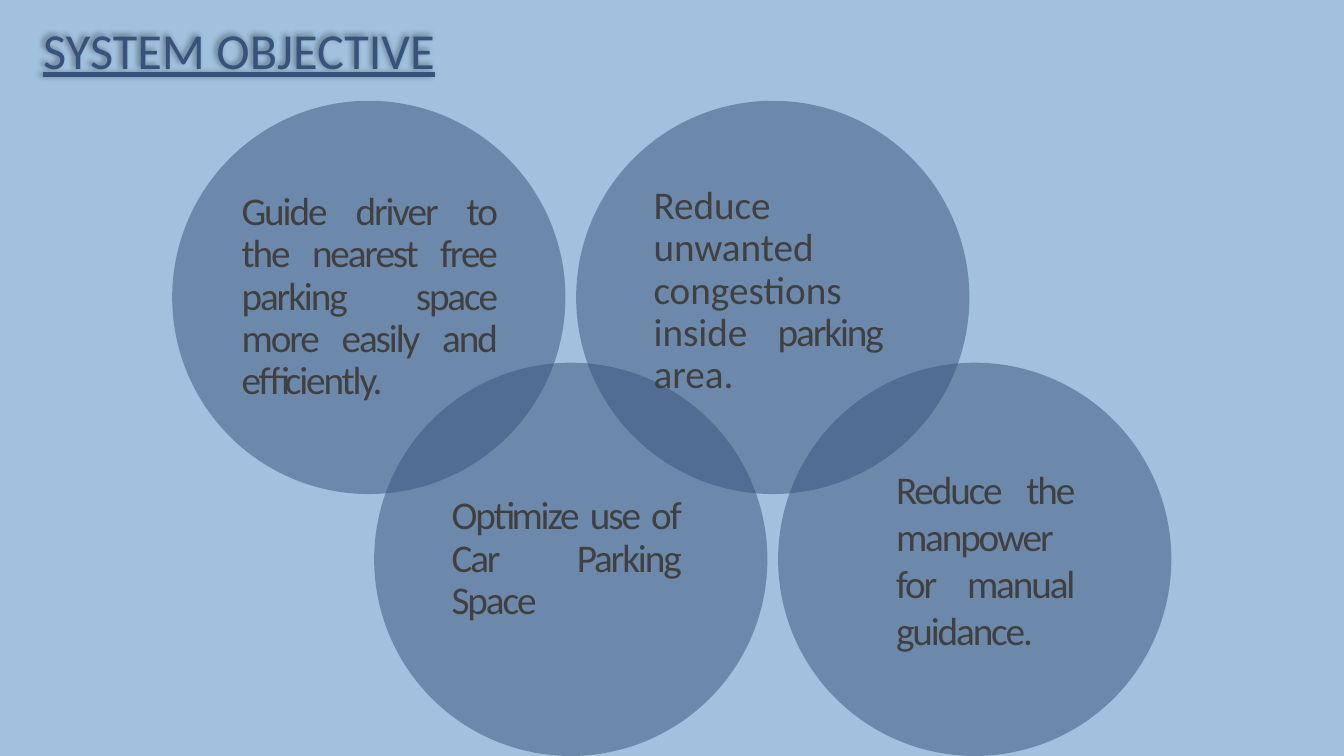
import pptx
import pptx.util
import pptx.dml.color
import pptx.enum.shapes
import pptx.enum.text
import pptx.oxml
import pptx.oxml.ns
from lxml import etree
from pptx.util import Cm

TITLE = "SYSTEM OBJECTIVE"
TIGHT, NORMAL = -150, 0  # letter spacing in hundredths of a point

# Each circle: spans of (text, letter spacing), insets (left, top, right, bottom) in cm, line spacing
OBJECTIVES = [
    ([("Guide driver to the nearest free parking space more easily and efficiently.", TIGHT)],
     (0.3, 0.3, 0.3, 0.3), 0.9),
    ([("Optimize use of Car Parking Space", TIGHT)],
     (0.5, 0.3, 0.76, 0.3), 0.9),
    ([("Reduce unwanted congestions inside ", NORMAL), ("parking ", TIGHT), ("area.", NORMAL)],
     (0.5, 0, 0.76, 0.3), 0.9),
    ([("Reduce the manpower for manual guidance.", TIGHT)],
     (1.52, 0.3, 1.02, 0.3), 1.0),
]

THEME = {
    "background": "A1C1DE", "accent": "39527B", "text": "404040",
    "font": "Calibri", "title_size": 36, "body_size": 28, "circle_alpha": 50000,
}

# Circles step evenly to the right, alternating between two rows
DIAMETER, FIRST_LEFT, STEP = 9.91, 4.34, 5.09
ROW_TOPS = (2.54, 9.14)


def color(name):
    return pptx.dml.color.RGBColor.from_string(THEME[name])


def style_font(para, size, color_name):
    para.font.name = THEME["font"]
    para.font.size = pptx.util.Pt(THEME[size])
    para.font.color.rgb = color(color_name)


def set_insets(frame, insets):
    frame.margin_left, frame.margin_top, frame.margin_right, frame.margin_bottom = map(Cm, insets)


def add_circle(page, index, spans, insets, line_spacing):
    circle = page.shapes.add_shape(
        pptx.enum.shapes.MSO_SHAPE.OVAL, Cm(FIRST_LEFT + index * STEP),
        Cm(ROW_TOPS[index % 2]), Cm(DIAMETER), Cm(DIAMETER))
    circle.shadow.inherit = False
    circle.line.fill.background()
    circle.fill.solid()
    circle.fill.fore_color.rgb = color("accent")
    fill_color = circle.fill._xPr.find(".//" + pptx.oxml.ns.qn("a:srgbClr"))
    etree.SubElement(fill_color, pptx.oxml.ns.qn("a:alpha"), val=str(THEME["circle_alpha"]))

    frame = circle.text_frame
    frame.word_wrap = True
    frame.vertical_anchor = pptx.enum.text.MSO_ANCHOR.MIDDLE
    set_insets(frame, insets)
    para = frame.paragraphs[0]
    para.alignment = pptx.enum.text.PP_ALIGN.JUSTIFY
    para.line_spacing = line_spacing
    style_font(para, "body_size", "text")
    for text, spacing in spans:
        span = para.add_run()
        span.text = text
        span.font._element.set("spc", str(spacing))


def add_title(page):
    box = page.shapes.add_textbox(Cm(0.84), Cm(0.43), Cm(11.63), Cm(1.7))
    frame = box.text_frame
    frame.word_wrap = True
    frame.vertical_anchor = pptx.enum.text.MSO_ANCHOR.BOTTOM
    set_insets(frame, (0.25, 0.13, 0.25, 0.13))
    para = frame.paragraphs[0]
    para.text = TITLE
    para.line_spacing = 0.8
    style_font(para, "title_size", "accent")
    para.font.underline = True
    # Soft shadow towards the upper left
    box._element.spPr.append(pptx.oxml.parse_xml(
        f'<a:effectLst {pptx.oxml.ns.nsdecls("a")}>'
        '<a:outerShdw blurRad="50800" dist="38100" dir="13500000" algn="br" rotWithShape="0">'
        '<a:srgbClr val="000000"><a:alpha val="40000"/></a:srgbClr>'
        '</a:outerShdw></a:effectLst>'))


def main():
    deck = pptx.Presentation()
    deck.slide_width, deck.slide_height = Cm(33.87), Cm(19.05)
    page = deck.slides.add_slide(deck.slide_layouts[6])
    page.background.fill.solid()
    page.background.fill.fore_color.rgb = color("background")
    for index, objective in enumerate(OBJECTIVES):
        add_circle(page, index, *objective)
    add_title(page)
    deck.save("out.pptx")


if __name__ == "__main__":
    main()
